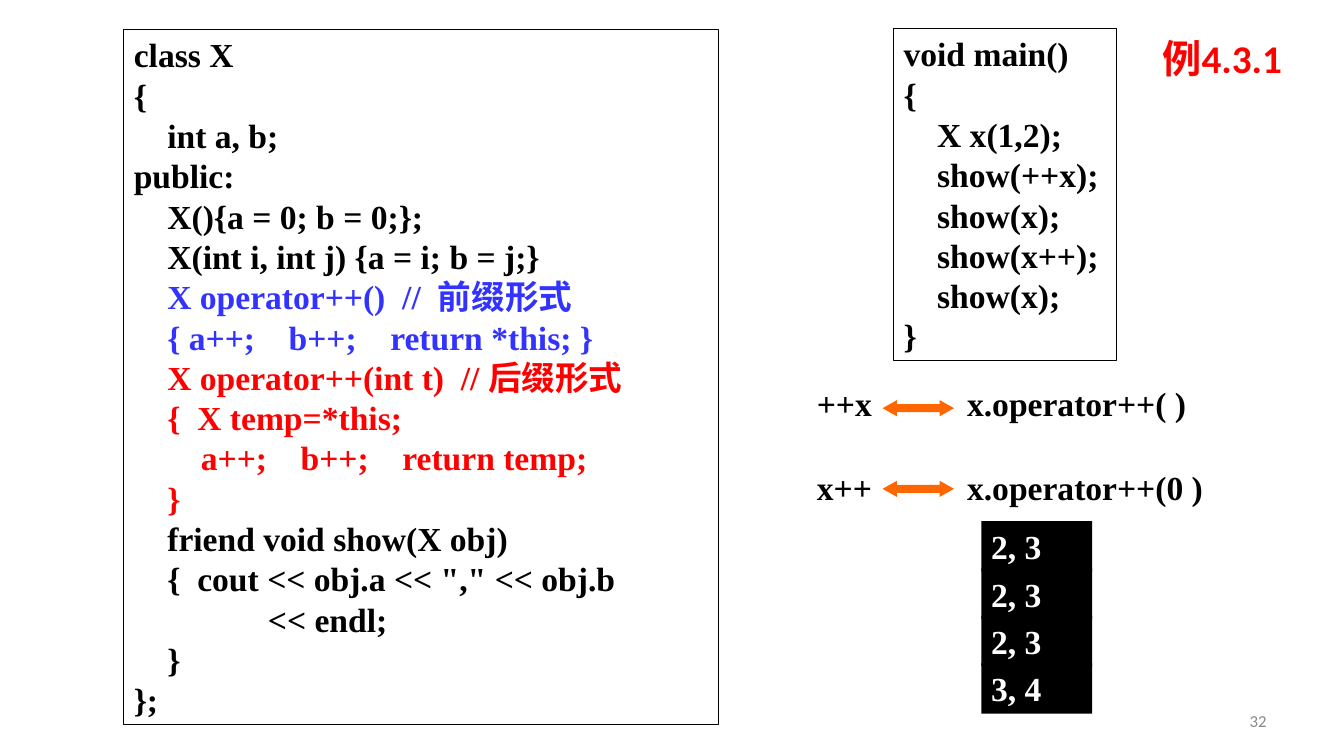
from pptx import Presentation
from pptx.dml.color import RGBColor
from pptx.enum.shapes import MSO_SHAPE
from pptx.enum.text import MSO_ANCHOR, PP_ALIGN
from pptx.util import Inches, Pt

RECT, ARROW = MSO_SHAPE.RECTANGLE, MSO_SHAPE.LEFT_RIGHT_ARROW
MIDDLE, LEFT, RIGHT = MSO_ANCHOR.MIDDLE, PP_ALIGN.LEFT, PP_ALIGN.RIGHT
BLACK = RGBColor(0x00, 0x00, 0x00)
WHITE = RGBColor(0xFF, 0xFF, 0xFF)
BLUE = RGBColor(0x33, 0x33, 0xFF)
RED = RGBColor(0xFF, 0x00, 0x00)
ORANGE = RGBColor(0xFF, 0x66, 0x00)
GRAY = RGBColor(0x89, 0x89, 0x89)

CLASS_CODE = [
    ("""class X
{
    int a, b;
public:
    X(){a = 0; b = 0;};
    X(int i, int j) {a = i; b = j;}""", BLACK),
    ("""    X operator++()  //  前缀形式
    { a++;    b++;    return *this; }""", BLUE),
    ("""    X operator++(int t)  // 后缀形式
    {  X temp=*this;
        a++;    b++;    return temp;
    }""", RED),
    ("""    friend void show(X obj)
    {  cout << obj.a << "," << obj.b
                << endl;
    }
};""", BLACK),
]
MAIN_CODE = [("""void main()
{
    X x(1,2);
    show(++x);
    show(x);
    show(x++);
    show(x);
}""", BLACK)]

prs = Presentation()
prs.slide_width, prs.slide_height = Inches(13.34), Inches(7.5)
s = prs.slides.add_slide(prs.slide_layouts[6])


def write(sp, blocks, size=24, font="Times New Roman", bold=True, align=LEFT):
    """Fill a shape with blocks of (text, colour), one paragraph per line."""
    tf = sp.text_frame
    tf.word_wrap = True
    lines = [(line, color) for text, color in blocks for line in text.split("\n")]
    for i, (line, color) in enumerate(lines):
        p = tf.paragraphs[0] if i == 0 else tf.add_paragraph()
        p.alignment = align
        r = p.add_run()
        r.text = line
        r.font.size, r.font.name, r.font.bold = Pt(size), font, bold
        r.font.color.rgb = color
    return tf


def add_shape(kind, x, y, w, h, fill=None, line=None):
    sp = s.shapes.add_shape(kind, Inches(x), Inches(y), Inches(w), Inches(h))
    sp.shadow.inherit = False
    if fill is None:
        sp.fill.background()
    else:
        sp.fill.solid()
        sp.fill.fore_color.rgb = fill
    if line is None:
        sp.line.fill.background()
    else:
        sp.line.color.rgb = line
        sp.line.width = Pt(0.75)
    sp.text_frame.vertical_anchor = MSO_ANCHOR.TOP
    return sp


# Code boxes
for x, y, w, h, code in [(1.23, 0.29, 5.9, 6.9, CLASS_CODE),
                         (8.87, 0.28, 2.21, 3.3, MAIN_CODE)]:
    write(add_shape(RECT, x, y, w, h, line=BLACK), code)

# Equivalent calls: expression, arrow, operator function
for y, arrow_y, expression, call in [(3.75, 3.97, "++x", "x.operator++( )"),
                                     (4.58, 4.77, "x++", "x.operator++(0 )")]:
    for x, w, text in [(8.01, 1.1, expression), (9.5, 2.68, call)]:
        sp = s.shapes.add_textbox(Inches(x), Inches(y), Inches(w), Inches(0.5))
        write(sp, [(text, BLACK)])
    sp = add_shape(ARROW, 8.76, arrow_y, 0.71, 0.16, fill=ORANGE)
    sp.adjustments[0], sp.adjustments[1] = 0.5, 0.893

# Program output
for i, text in enumerate(["2, 3", "2, 3", "2, 3", "3, 4"]):
    sp = add_shape(RECT, 9.74, 5.17 + 0.47 * i, 1.1, 0.5, fill=BLACK)
    write(sp, [(text, WHITE)])

# Example label
sp = s.shapes.add_textbox(Inches(11.44), Inches(0.29), Inches(1.48), Inches(0.57))
tf = write(sp, [("例4.3.1", RED)], size=28, font="Calibri")
tf.word_wrap = False
tf.vertical_anchor = MIDDLE

# Slide number
sp = s.shapes.add_textbox(Inches(9.56), Inches(6.95), Inches(3.11), Inches(0.4))
tf = write(sp, [("32", GRAY)], size=12, font="Calibri", bold=False, align=RIGHT)
tf.vertical_anchor = MIDDLE

prs.save("out.pptx")
